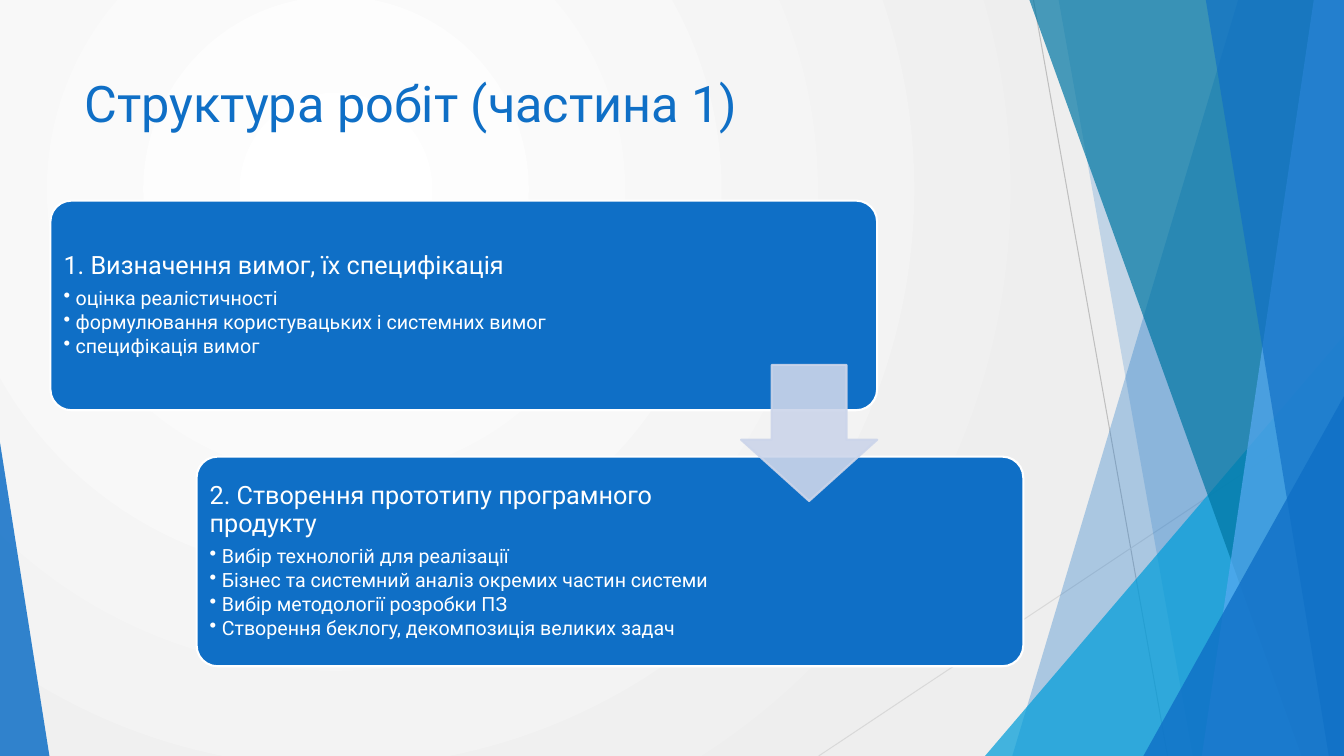
"""Build the slide that shows the first two stages of the work structure."""
import lxml.etree
import pptx
import pptx.dml.color
import pptx.enum.shapes
import pptx.enum.text
import pptx.oxml.ns
import pptx.util

Inches = pptx.util.Inches
Pt = pptx.util.Pt
qn = pptx.oxml.ns.qn
Shapes = pptx.enum.shapes.MSO_SHAPE
Anchor = pptx.enum.text.MSO_ANCHOR

WIDTH, HEIGHT = 13.33, 7.5
BLUE, WHITE, PALE = "0F6FC6", "FFFFFF", "CCD5EA"


def colour(code):
    return pptx.dml.color.RGBColor.from_string(code)


class Painter:
    def __init__(self, page, font):
        self.page = page
        self.font = font

    def background(self, inner, outer):
        fill = self.page.background.fill
        fill.gradient()
        for stop, code, position in zip(fill.gradient_stops, (inner, outer), (0, 1)):
            stop.color.rgb = colour(code)
            stop.position = position
        gradient = next(self.page.element.iter(qn("a:gradFill")))
        gradient.remove(gradient.find(qn("a:lin")))
        route = lxml.etree.SubElement(gradient, qn("a:path"), path="circle")
        lxml.etree.SubElement(route, qn("a:fillToRect"),
                              l="50000", t="50000", r="100000", b="100000")

    def paint(self, shape, fill, opacity=100, line=None):
        shape.shadow.inherit = False
        shape.fill.solid()
        shape.fill.fore_color.rgb = colour(fill)
        if line:
            shape.line.color.rgb = colour(line)
            shape.line.width = Pt(1.5)
        else:
            shape.line.fill.background()
        if opacity < 100:
            for tint in shape.element.spPr.iter(qn("a:srgbClr")):
                lxml.etree.SubElement(tint, qn("a:alpha"), val=str(opacity * 1000))

    def shape(self, kind, left, top, width, height, adjust, fill, **style):
        shape = self.page.shapes.add_shape(
            kind, Inches(left), Inches(top), Inches(width), Inches(height))
        for index, value in enumerate(adjust):
            shape.adjustments[index] = value
        self.paint(shape, fill, **style)

    def facet(self, top_left, bottom_left, fill, opacity):
        points = [(Inches(x), Inches(y)) for x, y in (
            (top_left, 0), (WIDTH, 0), (WIDTH, HEIGHT), (bottom_left, HEIGHT))]
        builder = self.page.shapes.build_freeform(*points[0])
        builder.add_line_segments(points[1:], close=True)
        self.paint(builder.convert_to_shape(), fill, opacity)

    def line(self, start, end, code):
        line = self.page.shapes.add_connector(
            pptx.enum.shapes.MSO_CONNECTOR.STRAIGHT,
            *(Inches(value) for value in start + end))
        line.line.color.rgb = colour(code)
        line.line.width = Pt(0.75)
        lxml.etree.SubElement(line.element.spPr, qn("a:effectLst"))

    def frame(self, left, top, width, height, anchor=Anchor.TOP, inset=None):
        box = self.page.shapes.add_textbox(
            Inches(left), Inches(top), Inches(width), Inches(height))
        frame = box.text_frame
        frame.word_wrap = True
        frame.vertical_anchor = anchor
        if inset is not None:
            frame.margin_left = frame.margin_right = Inches(inset)
            frame.margin_top = frame.margin_bottom = Inches(inset)
        return frame

    def add_text(self, para, text, size, code=WHITE, spacing=1.0, after=0, bullet=False):
        para.line_spacing = spacing
        para.space_after = Pt(after)
        if bullet:
            para.level = 1
            settings = para._p.get_or_add_pPr()
            settings.set("marL", str(Inches(0.12)))
            settings.set("indent", str(Inches(-0.12)))
            lxml.etree.SubElement(settings, qn("a:buChar"), char="•")
        span = para.add_run()
        span.text = text
        span.font.name = self.font
        span.font.size = Pt(size)
        span.font.color.rgb = colour(code)

    def stage(self, left, top, text_width, heading, items):
        self.shape(Shapes.ROUNDED_RECTANGLE, left, top, 8.2, 2.08, [0.1], BLUE, line=WHITE)
        frame = self.frame(left + 0.06, top + 0.06, text_width, 1.96, Anchor.MIDDLE, 0.07)
        self.add_text(frame.paragraphs[0], heading, 18, spacing=0.9, after=6.3)
        for item in items:
            self.add_text(frame.add_paragraph(), item, 14, spacing=0.9, after=2.1, bullet=True)


def decorate(painter):
    painter.background(WHITE, "EEEEEE")
    painter.line((10.25, 0), (11.58, HEIGHT), "BFBFBF")
    painter.line((WIDTH, 4.03), (8.12, HEIGHT), "D9D9D9")
    painter.facet(12.28, 10.04, BLUE, 30)
    painter.facet(10.5, 11.83, BLUE, 20)
    corner = Shapes.ISOSCELES_TRIANGLE
    painter.shape(corner, 9.77, 3.33, 3.56, 4.17, [1], "009DD9", opacity=72)
    painter.facet(10.21, 12.91, "0076A3", 70)
    painter.facet(13.03, 11.92, "59AAF2", 70)
    painter.facet(11.96, 13.18, BLUE, 65)
    painter.shape(corner, 11.34, 3.93, 1.99, 3.57, [1], BLUE, opacity=80)
    painter.shape(corner, 0, 4.39, 0.49, 3.11, [0], BLUE, opacity=85)


def main():
    deck = pptx.Presentation()
    deck.slide_width, deck.slide_height = Inches(WIDTH), Inches(HEIGHT)
    page = deck.slides.add_slide(deck.slide_layouts[6])
    painter = Painter(page, "Roboto")
    decorate(painter)
    title = painter.frame(0.74, 0.67, 9.4, 1.44)
    painter.add_text(title.paragraphs[0], "Структура робіт (частина 1)", 36, code=BLUE)
    painter.stage(0.5, 1.99, 6.05, "1. Визначення вимог, їх специфікація", [
        "оцінка реалістичності",
        "формулювання користувацьких і системних вимог",
        "специфікація вимог",
    ])
    painter.stage(1.95, 4.53, 5.28, "2. Створення прототипу програмного продукту", [
        "Вибір технологій для реалізації",
        "Бізнес та системний аналіз окремих частин системи",
        "Вибір методології розробки ПЗ",
        "Створення беклогу, декомпозиція великих задач",
    ])
    painter.shape(Shapes.DOWN_ARROW, 7.35, 3.62, 1.35, 1.35, [0.55, 0.45], PALE,
                  opacity=90, line=PALE)
    deck.save("out.pptx")


if __name__ == "__main__":
    main()
